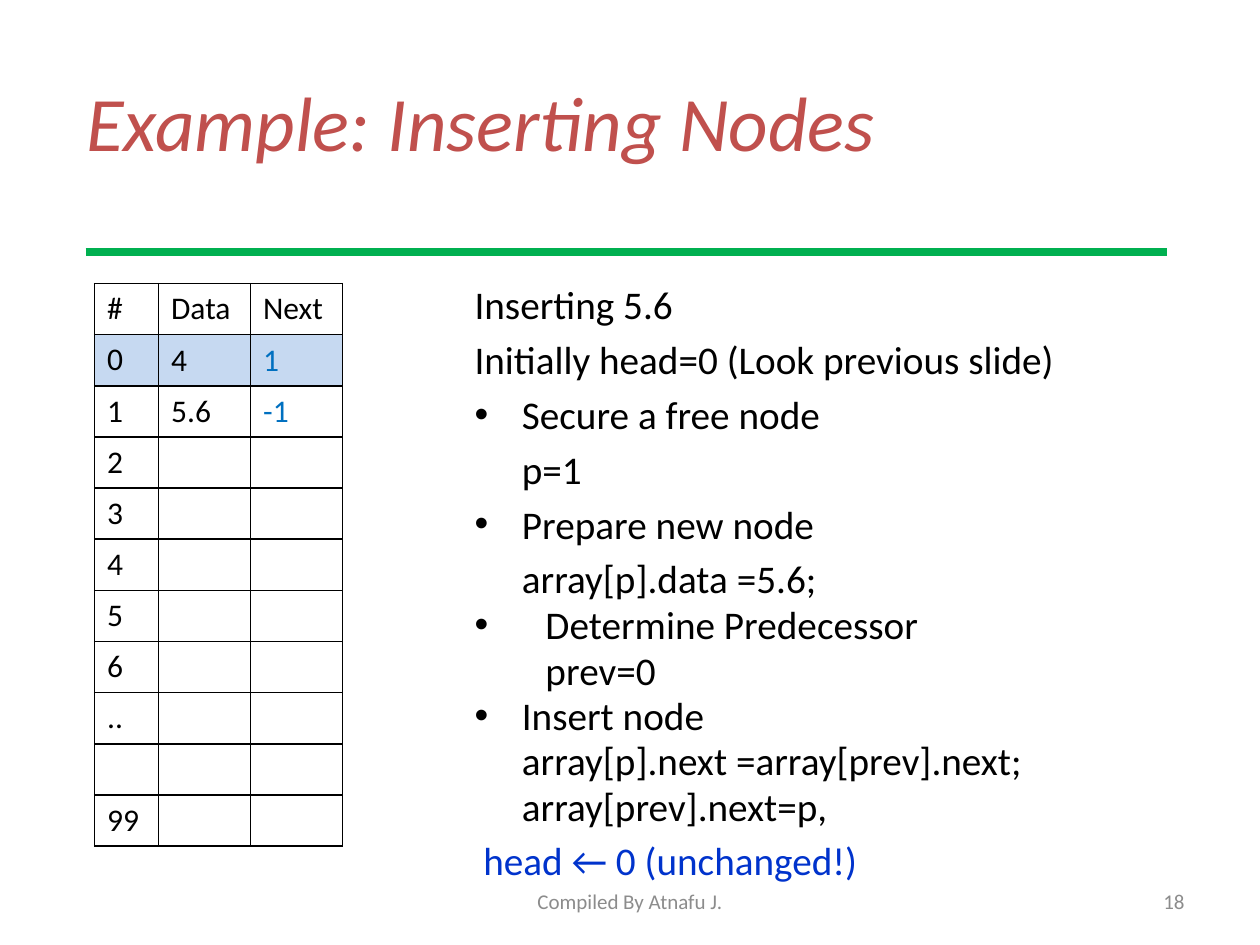
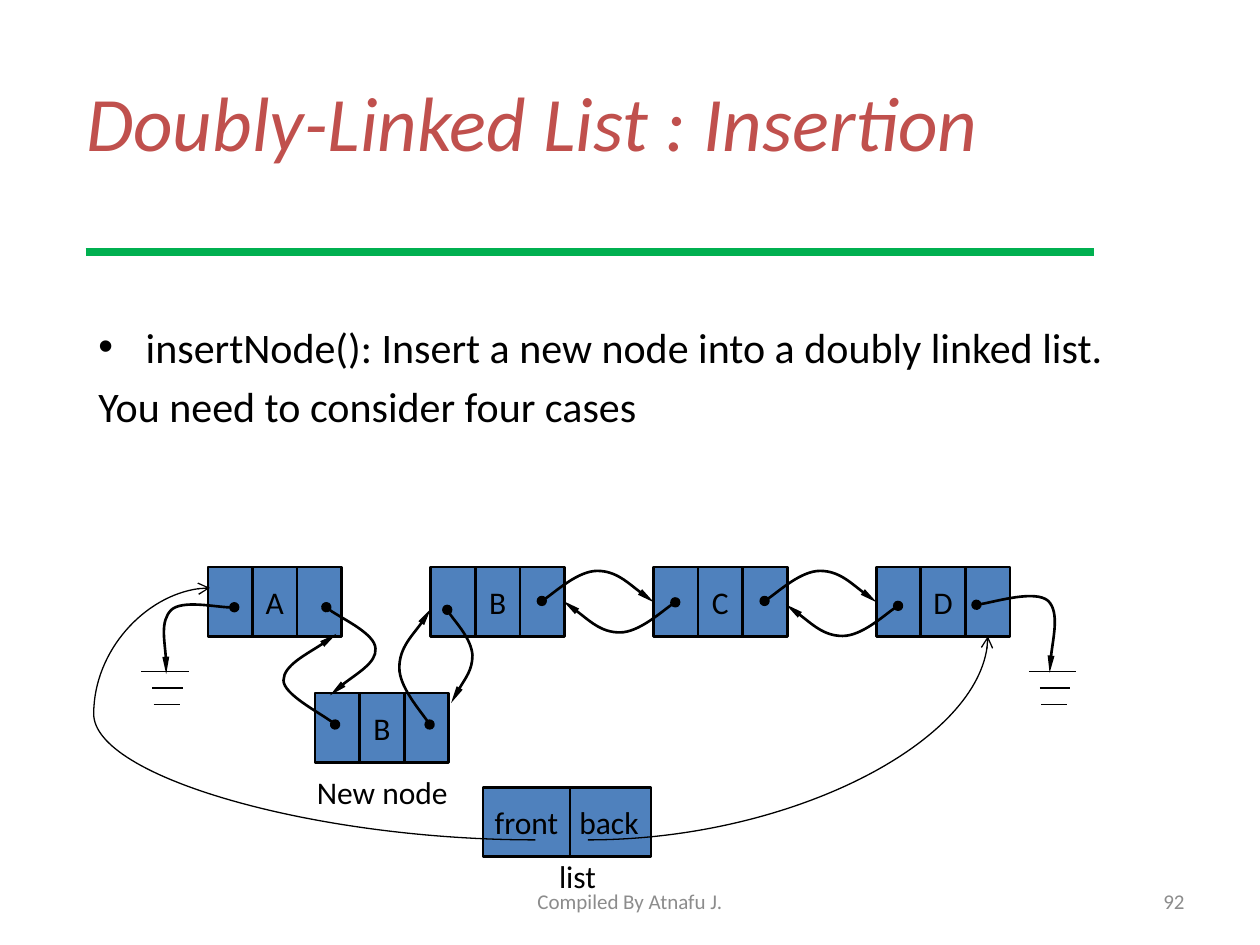
"""Builds two slides on linked lists: an array insertion and a doubly linked insertion."""
import dataclasses
import itertools
import typing

import lxml.etree
import pptx
import pptx.dml.color
import pptx.enum.shapes
import pptx.enum.text
import pptx.oxml.ns
import pptx.util

Pt = pptx.util.Pt
qn = pptx.oxml.ns.qn
ALIGN = pptx.enum.text.PP_ALIGN
ANCHOR = pptx.enum.text.MSO_ANCHOR
KIND = pptx.enum.shapes.MSO_CONNECTOR
RECT = pptx.enum.shapes.MSO_SHAPE.RECTANGLE

FONT = "Calibri"
BLACK, RED, GREEN, GRAY = "000000", "C0504D", "00B050", "8C8C8C"
BLUE, PALE, NEXT, HEAD = "4F81BD", "C6D9F1", "0070C0", "0033CC"

Spot = tuple[float, float]
Box = tuple[float, float, float, float]


@dataclasses.dataclass
class Item:
    text: str
    left: float = 27
    hang: float = 0
    mark: bool = False
    pitch: float = 1
    color: str = BLACK


@dataclasses.dataclass
class Node:
    left: float
    top: float
    name: str


@dataclasses.dataclass
class Curve:
    spots: list[Spot]


def tint(code: str) -> pptx.dml.color.RGBColor:
    return pptx.dml.color.RGBColor.from_string(code)


def points(*sizes: float) -> list[int]:
    return [Pt(size) for size in sizes]


def add(parent: typing.Any, tag: str, **attrs: str) -> typing.Any:
    return lxml.etree.SubElement(parent, qn(tag), attrs)


def write(para, text: str, *, size: float = 18, color: str = BLACK,
          align=ALIGN.LEFT, italic: bool = False, pitch: float = 1, before: float = 0) -> None:
    para.alignment = align
    para.line_spacing = pitch
    para.space_before = Pt(before)
    run = para.add_run()
    run.text = text
    font = run.font
    font.name, font.size = FONT, Pt(size)
    font.bold, font.italic = False, italic
    font.color.rgb = tint(color)


def move(shape, box: Box) -> None:
    shape.left, shape.top, shape.width, shape.height = points(*box)


def label(slide, text: str, box: Box, anchor=ANCHOR.TOP, **form) -> None:
    frame = slide.shapes.add_textbox(*points(*box)).text_frame
    frame.word_wrap = True
    frame.vertical_anchor = anchor
    write(frame.paragraphs[0], text, **form)


def fill_list(slide, box: Box, items: list[Item], size: float) -> None:
    body = slide.placeholders[1]
    move(body, box)
    frame = body.text_frame
    frame.auto_size = pptx.enum.text.MSO_AUTO_SIZE.NONE
    for index, item in enumerate(items):
        para = frame.add_paragraph() if index else frame.paragraphs[0]
        props = para._p.get_or_add_pPr()
        props.set("marL", str(Pt(item.left)))
        props.set("indent", str(-Pt(item.hang)))
        if item.mark:
            add(props, "a:buChar", char="•")
        else:
            add(props, "a:buNone")
        write(para, item.text, size=size, color=item.color,
              pitch=item.pitch, before=size * 0.2 if index else 0)


def ink(shape, width: float, color: str = BLACK, tail: str = "", head: str = "",
        wide: str = "med", long: str = "med") -> None:
    shape.line.color.rgb = tint(color)
    shape.line.width = Pt(width)
    props = shape.element.spPr.find(qn("a:ln"))
    if head:
        add(props, "a:headEnd", type=head, w="med", len="med")
    if tail:
        add(props, "a:tailEnd", type=tail, w=wide, len=long)


def join(slide, start: Spot, end: Spot, width: float = 0.75, kind=KIND.STRAIGHT, **form):
    line = slide.shapes.add_connector(kind, *points(*start, *end))
    ink(line, width, **form)
    add(line.element.spPr, "a:effectLst")
    return line


def draw_curve(slide, curve: Curve) -> None:
    spots = [tuple(points(*spot)) for spot in curve.spots]
    pen = slide.shapes.build_freeform(*spots[0])
    pen.add_line_segments(spots[1:], close=False)
    shape = pen.convert_to_shape()
    trail = shape.element.spPr.find(".//" + qn("a:path"))
    steps = trail.findall(qn("a:lnTo"))
    for first in range(0, len(steps), 3):
        bend = add(trail, "a:cubicBezTo")
        for step in steps[first:first + 3]:
            bend.append(step[0])
            trail.remove(step)
    shape.fill.background()
    shape.shadow.inherit = False
    ink(shape, 1.5, head="oval", tail="triangle", wide="sm", long="lg")


def draw_cell(slide, box: Box, text: str = "") -> None:
    shape = slide.shapes.add_shape(RECT, *points(*box))
    shape.shadow.inherit = False
    shape.fill.solid()
    shape.fill.fore_color.rgb = tint(BLUE)
    ink(shape, 1.5)
    if text:
        frame = shape.text_frame
        frame.word_wrap = False
        frame.vertical_anchor = ANCHOR.MIDDLE
        write(frame.paragraphs[0], text, align=ALIGN.CENTER)


def draw_node(slide, node: Node) -> None:
    for index, text in enumerate(("", node.name, "")):
        draw_cell(slide, (node.left + index * 25.5, node.top, 25.5, 39.6), text)


def draw_ground(slide, left: float) -> None:
    for index, (shift, width) in enumerate(((0, 27), (6.2, 17.3), (7, 15))):
        level = 383.8 + index * 9.35
        join(slide, (left + shift, level), (left + shift + width, level))


def draw_table(slide, rows: list[tuple[str, str, str]]) -> None:
    frame = slide.shapes.add_table(len(rows), 3, *points(54, 162, 141.8, 29.25 * len(rows)))
    table = frame.table
    table.first_row = table.horz_banding = False
    for column, width in zip(table.columns, (36.6, 52.6, 52.6)):
        column.width = Pt(width)
    for row in table.rows:
        row.height = Pt(29.25)
    for (down, row), across in itertools.product(enumerate(rows), range(3)):
        cell = table.cell(down, across)
        if down == 1:
            cell.fill.solid()
            cell.fill.fore_color.rgb = tint(PALE)
        else:
            cell.fill.background()
        props = cell._tc.get_or_add_tcPr()
        for index, side in enumerate("LRTB"):
            edge = add(props, "a:ln" + side, w=str(Pt(1)))
            add(add(edge, "a:solidFill"), "a:srgbClr", val=BLACK)
            props.insert(index, edge)
        cell.vertical_anchor = ANCHOR.MIDDLE if down and across else ANCHOR.TOP
        if row[across]:
            write(cell.text_frame.paragraphs[0], row[across],
                  color=NEXT if down and across == 2 else BLACK)


def start_slide(deck, title: str, number: str, end: float):
    slide = deck.slides.add_slide(deck.slide_layouts[1])
    head = slide.shapes.title
    move(head, (42, 24, 648, 90))
    head.text_frame.vertical_anchor = ANCHOR.MIDDLE
    write(head.text_frame.paragraphs[0], title, size=44, color=RED, italic=True)
    join(slide, (49, 144), (end, 144), 4.25, color=GREEN)
    foot = {"size": 12, "color": GRAY, "anchor": ANCHOR.MIDDLE}
    label(slide, "Compiled By Atnafu J.", (246, 500.5, 228, 28.75), align=ALIGN.CENTER, **foot)
    label(slide, number, (516, 500.5, 168, 28.75), align=ALIGN.RIGHT, **foot)
    return slide


def build_array(deck) -> None:
    slide = start_slide(deck, "Example: Inserting Nodes", "18", 667)
    fill_list(slide, (264, 162, 413, 330), [
        Item("Inserting 5.6", hang=27, pitch=0.8),
        Item("Initially head=0 (Look previous slide)", hang=27),
        Item("Secure a free node", hang=27, mark=True),
        Item("p=1"),
        Item("Prepare new node", hang=27, mark=True),
        Item("array[p].data =5.6;"),
        Item("Determine Predecessor", left=40.5, hang=40.5, mark=True, pitch=0.8),
        Item("prev=0", left=40.5, pitch=0.8),
        Item("Insert node", hang=27, mark=True, pitch=0.8),
        Item("array[p].next =array[prev].next;", pitch=0.8),
        Item("array[prev].next=p,", pitch=0.8),
        Item("head ← 0 (unchanged!)", left=5, color=HEAD),
    ], 22.4)
    names = ["2", "3", "4", "5", "6", "..", "", "99"]
    draw_table(slide, [("#", "Data", "Next"), ("0", "4", "1"), ("1", "5.6", "-1"),
                       *((name, "", "") for name in names)])


def build_links(deck) -> None:
    slide = start_slide(deck, "Doubly-Linked List : Insertion", "92", 625)
    fill_list(slide, (49, 180, 612, 324), [
        Item("insertNode(): Insert a new node into a doubly linked list.", hang=27, mark=True),
        Item("You need to consider four cases", hang=27),
    ], 24)
    pitch = 127.3
    nodes = [Node(118.8 + index * pitch, 324, name) for index, name in enumerate("ABCD")]
    for node in [*nodes, Node(180, 396, "B")]:
        draw_node(slide, node)
    draw_cell(slide, (324, 450, 48, 39.6), "back")
    draw_cell(slide, (276, 450, 49.7, 39.6), "front")
    label(slide, "New node", (174, 438, 94.5, 29))
    label(slide, "list", (306, 486, 48, 29), align=ALIGN.CENTER)

    ahead = [(309.6, 343.4), (314.6, 340.6), (330.5, 326.2), (341.3, 326.2),
             (352.1, 326.2), (367.2, 339.8), (373.7, 344.2)]
    back = [(695.5 - x, 687.6 - y) for x, y in ahead]
    curves = [
        Curve(ahead), Curve([(x + pitch, y) for x, y in ahead]),
        Curve(back), Curve([(x + pitch, y + 2) for x, y in back]),
        Curve([(186.5, 347), (190.8, 351.4), (214.6, 362.2), (214.6, 370.8),
               (215.3, 378.7), (193.7, 391.7), (188.6, 397.4)]),
        Curve([(191.5, 414), (187.2, 409.7), (162, 396.7), (162, 388.8),
               (162, 380.2), (185.8, 367.9), (192.2, 362.2)]),
        Curve([(245.5, 414), (242.6, 409), (228.2, 392.4), (228.2, 381.6),
               (228.2, 370.1), (242.6, 355), (246.2, 347.8)]),
        Curve([(255.6, 348.5), (257.8, 352.8), (269.3, 365), (270, 374.4),
               (270, 383), (260.6, 396), (257.8, 401.8)]),
        Curve([(558, 345.6), (565.2, 344.9), (591.8, 337), (599, 343.4),
               (605.5, 349.9), (599.8, 375.8), (599.8, 384.5)]),
        Curve([(133.9, 347), (127.4, 347.8), (104.4, 342.7), (97.9, 348.5),
               (91.4, 355), (95.8, 378), (95, 385.2)]),
    ]
    for curve in curves:
        draw_curve(slide, curve)
    for left in (80.8, 588):
        draw_ground(slide, left)

    last = join(slide, (336, 480), (564.5, 363.6), kind=KIND.CURVE, tail="arrow")
    last.element.spPr.find(qn("a:prstGeom")).set("prst", "curvedConnector2")
    first = join(slide, (306, 480), (120, 336), kind=KIND.CURVE, tail="arrow")
    shape = first.element.spPr.find(qn("a:prstGeom"))
    guides = shape.find(qn("a:avLst"))
    if guides is None:
        guides = add(shape, "a:avLst")
    add(guides, "a:gd", name="adj1", fmla="val 135700")


def main() -> None:
    deck = pptx.Presentation()
    deck.slide_width, deck.slide_height = points(720, 540)
    build_array(deck)
    build_links(deck)
    deck.save("out.pptx")


if __name__ == "__main__":
    main()
